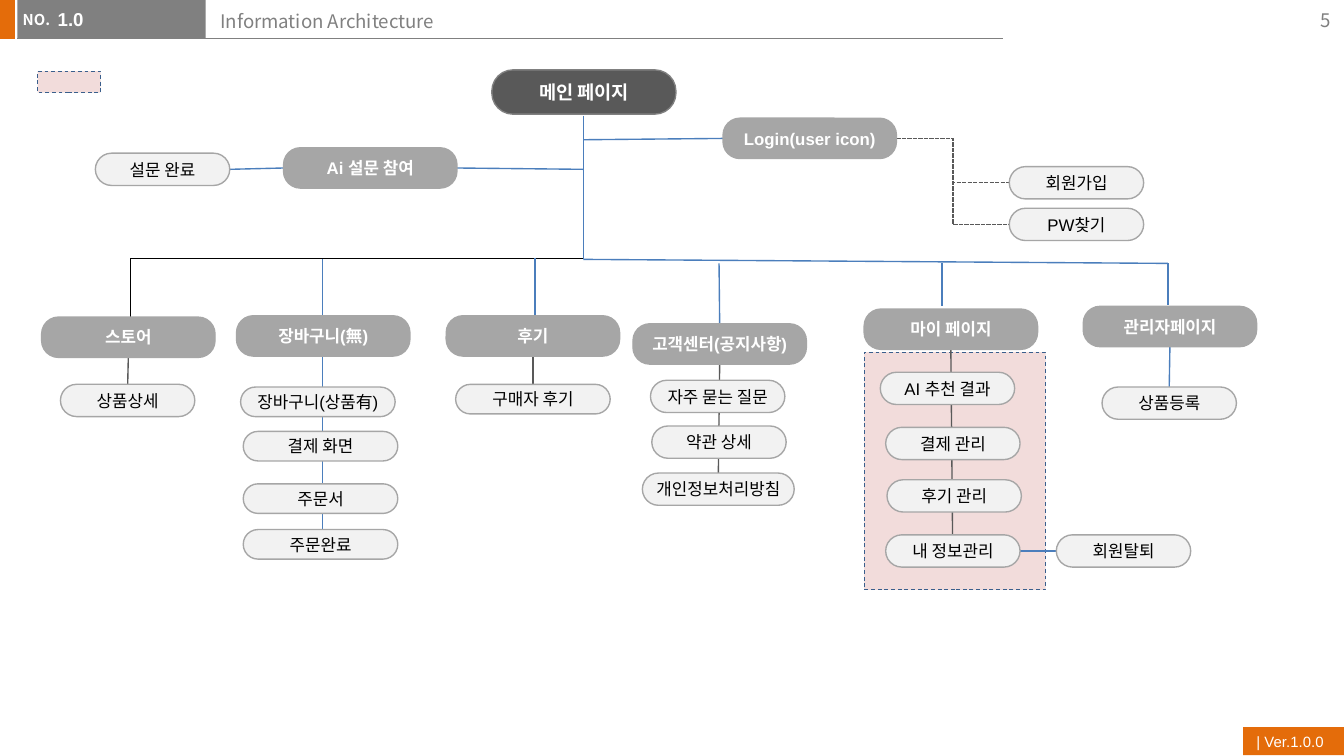
from lxml.etree import SubElement
from pptx import Presentation
from pptx.dml.color import RGBColor
from pptx.enum.dml import MSO_LINE
from pptx.enum.shapes import MSO_CONNECTOR, MSO_SHAPE
from pptx.enum.text import MSO_ANCHOR, PP_ALIGN
from pptx.oxml.ns import qn
from pptx.util import Inches, Pt

ORANGE = RGBColor(0xE4, 0x6C, 0x0A)
GRAY = RGBColor(0x80, 0x80, 0x80)
DARK = RGBColor(0x59, 0x59, 0x59)
MID = RGBColor(0xA6, 0xA6, 0xA6)
LIGHT = RGBColor(0xF2, 0xF2, 0xF2)
PINK = RGBColor(0xF2, 0xDC, 0xDB)
NAVY = RGBColor(0x3A, 0x5F, 0x8C)
BLUE = RGBColor(0x4B, 0x7E, 0xBC)
BLACK = RGBColor(0, 0, 0)
WHITE = RGBColor(0xFF, 0xFF, 0xFF)
KOREAN = "Noto Sans CJK KR"
TOP, LEFT, BOTTOM, RIGHT = range(4)


def write(shape, text, size=9, font="Arial", color=BLACK, bold=False,
          align=PP_ALIGN.LEFT, anchor=MSO_ANCHOR.TOP, wrap=True, inset=(0.1, 0.05)):
    frame = shape.text_frame
    frame.word_wrap = wrap
    frame.vertical_anchor = anchor
    frame.margin_left = frame.margin_right = Inches(inset[0])
    frame.margin_top = frame.margin_bottom = Inches(inset[1])
    paragraph = frame.paragraphs[0]
    paragraph.alignment = align
    run = paragraph.add_run()
    run.text = text
    run.font.size = Pt(size)
    run.font.bold = bold
    run.font.color.rgb = color
    run.font.name = font
    SubElement(run._r.get_or_add_rPr(), qn("a:ea")).set("typeface", KOREAN)


def link(start, end, color=BLUE, kind=MSO_CONNECTOR.STRAIGHT, dash=None, width=0.75):
    joined_start = isinstance(start[0], str)
    joined_end = isinstance(end[0], str)
    x1, y1 = (0, 0) if joined_start else start
    x2, y2 = (0, 0) if joined_end else end
    line = shapes.add_connector(kind, Inches(x1), Inches(y1), Inches(x2), Inches(y2))
    if joined_start:
        line.begin_connect(pages[start[0]], start[1])
    if joined_end:
        line.end_connect(pages[end[0]], end[1])
    line.line.color.rgb = color
    line.line.width = Pt(width)
    if dash:
        line.line.dash_style = dash
    SubElement(line._element.spPr, qn("a:effectLst"))
    shapes._spTree.insert(link_layer, line._element)
    return line


prs = Presentation()
prs.slide_width = Inches(10)
prs.slide_height = Inches(10) * 9 // 16
slide = prs.slides.add_slide(prs.slide_layouts[5])
shapes = slide.shapes

title = shapes.title
title.left, title.top, title.width, title.height = map(Inches, (1.54, 0.02, 5.91, 0.32))
write(title, "Information Architecture", size=10, font=KOREAN, color=GRAY)

blocks = []
for x, y, w, h, fill, border in [
    (-0.01, 0, 0.12, 0.29, ORANGE, None),
    (9.25, 5.41, 0.75, 0.21, ORANGE, None),
    (0.13, 0, 1.4, 0.29, GRAY, None),
    (6.43, 2.62, 1.35, 1.77, PINK, NAVY),
    (0.28, 0.53, 0.47, 0.16, PINK, NAVY),
]:
    block = shapes.add_shape(MSO_SHAPE.RECTANGLE, Inches(x), Inches(y), Inches(w), Inches(h))
    block.shadow.inherit = False
    block.fill.solid()
    block.fill.fore_color.rgb = fill
    if border:
        block.line.color.rgb = border
        block.line.width = Pt(0.5)
        block.line.dash_style = MSO_LINE.DASH
    else:
        block.line.fill.background()
    blocks.append(block)
write(blocks[1], "| Ver.1.0.0", size=8, color=WHITE, anchor=MSO_ANCHOR.MIDDLE)

for x, y, w, h, text, style in [
    (0.07, 0.03, 0.41, 0.24, "NO.",
     dict(size=8, font=KOREAN, color=WHITE, bold=True, wrap=False)),
    (0.43, 0.01, 1.1, 0.31, "1.0",
     dict(size=10, color=WHITE, bold=True, inset=(0, 0.05))),
    (9.4, 0, 0.6, 0.3, "5",
     dict(size=10, font=KOREAN, color=GRAY, align=PP_ALIGN.RIGHT, anchor=MSO_ANCHOR.MIDDLE)),
]:
    label = shapes.add_textbox(Inches(x), Inches(y), Inches(w), Inches(h))
    write(label, text, **style)

link_layer = len(shapes._spTree)

ROOT = dict(height=0.33, round=0.479, fill=DARK, border=GRAY, color=WHITE, bold=True, size=10)
SECTION = dict(height=0.3, round=0.417, fill=MID, border=MID, color=WHITE, bold=True, size=9)
DETAIL = dict(height=0.24, round=0.5, fill=LIGHT, border=MID, color=BLACK, bold=False, size=9)
STEP = dict(DETAIL, height=0.22)

pages = {}
for level, width, places in [
    (ROOT, 1.37, [("메인 페이지", 3.66, 0.52)]),
    (SECTION, 1.29, [
        ("Login(user icon)", 5.38, 0.88), ("Ai 설문 참여", 2.11, 1.1),
        ("스토어", 0.31, 2.36), ("장바구니(無)", 1.76, 2.35), ("후기", 3.32, 2.35),
        ("고객센터(공지사항)", 4.71, 2.41), ("마이 페이지", 6.43, 2.3),
        ("관리자페이지", 8.06, 2.28)]),
    (DETAIL, 1, [
        ("회원가입", 7.51, 1.24), ("PW찾기", 7.51, 1.55), ("설문 완료", 0.71, 1.14),
        ("상품상세", 0.45, 2.86), ("자주 묻는 질문", 4.84, 2.83), ("약관 상세", 4.85, 3.17),
        ("AI 추천 결과", 6.55, 2.77), ("결제 관리", 6.59, 3.18), ("후기 관리", 6.6, 3.57),
        ("내 정보관리", 6.59, 3.98), ("회원탈퇴", 7.86, 3.98), ("상품등록", 8.2, 2.88)]),
    (DETAIL, 1.13, [("개인정보처리방침", 4.78, 3.52)]),
    (STEP, 1.15, [
        ("장바구니(상품有)", 1.79, 2.88), ("결제 화면", 1.81, 3.21), ("주문서", 1.81, 3.6),
        ("주문완료", 1.81, 3.94), ("구매자 후기", 3.39, 2.86)]),
]:
    for name, x, y in places:
        page = shapes.add_shape(MSO_SHAPE.ROUNDED_RECTANGLE, Inches(x), Inches(y),
                                Inches(width), Inches(level["height"]))
        page.adjustments[0] = level["round"]
        page.shadow.inherit = False
        page.fill.solid()
        page.fill.fore_color.rgb = level["fill"]
        page.line.color.rgb = level["border"]
        page.line.width = Pt(0.75)
        write(page, name, size=level["size"], color=level["color"], bold=level["bold"],
              align=PP_ALIGN.CENTER, anchor=MSO_ANCHOR.MIDDLE, inset=(0.02, 0.02))
        pages[name] = page

link((0.13, 0.29), (7.46, 0.29), color=GRAY, width=0.5)

for start, end in [
    ((4.34, 0.86), (4.34, 1.93)),
    ((4.34, 1.04), ("Login(user icon)", LEFT)),
    ((4.34, 1.26), ("Ai 설문 참여", RIGHT)),
    (("설문 완료", RIGHT), ("Ai 설문 참여", LEFT)),
    ((4.34, 1.93), (8.69, 1.96)),
    ((2.4, 1.93), (2.4, 3.94)),
    ((3.98, 1.92), (3.98, 2.35)),
    ((5.35, 1.96), ("고객센터(공지사항)", TOP)),
    ((7.01, 1.96), (7.01, 2.28)),
    ((8.69, 1.96), (8.69, 2.27)),
    (("관리자페이지", BOTTOM), ("상품등록", TOP)),
    (("내 정보관리", RIGHT), ("회원탈퇴", LEFT)),
]:
    link(start, end)

for section, last, side in [
    ("스토어", "상품상세", TOP),
    ("후기", "구매자 후기", BOTTOM),
    ("고객센터(공지사항)", "개인정보처리방침", TOP),
    ("마이 페이지", "내 정보관리", BOTTOM),
]:
    link((section, BOTTOM), (last, side), color=DARK)

for account_page in ("회원가입", "PW찾기"):
    link(("Login(user icon)", RIGHT), (account_page, LEFT), color=DARK,
         kind=MSO_CONNECTOR.ELBOW, dash=MSO_LINE.SQUARE_DOT)

store_branch = link((2.18, 0.24), (3.13, 3.61), color=BLACK, kind=MSO_CONNECTOR.ELBOW)
store_branch._element.spPr.find(qn("a:xfrm")).set("rot", "5400000")

prs.save("out.pptx")
